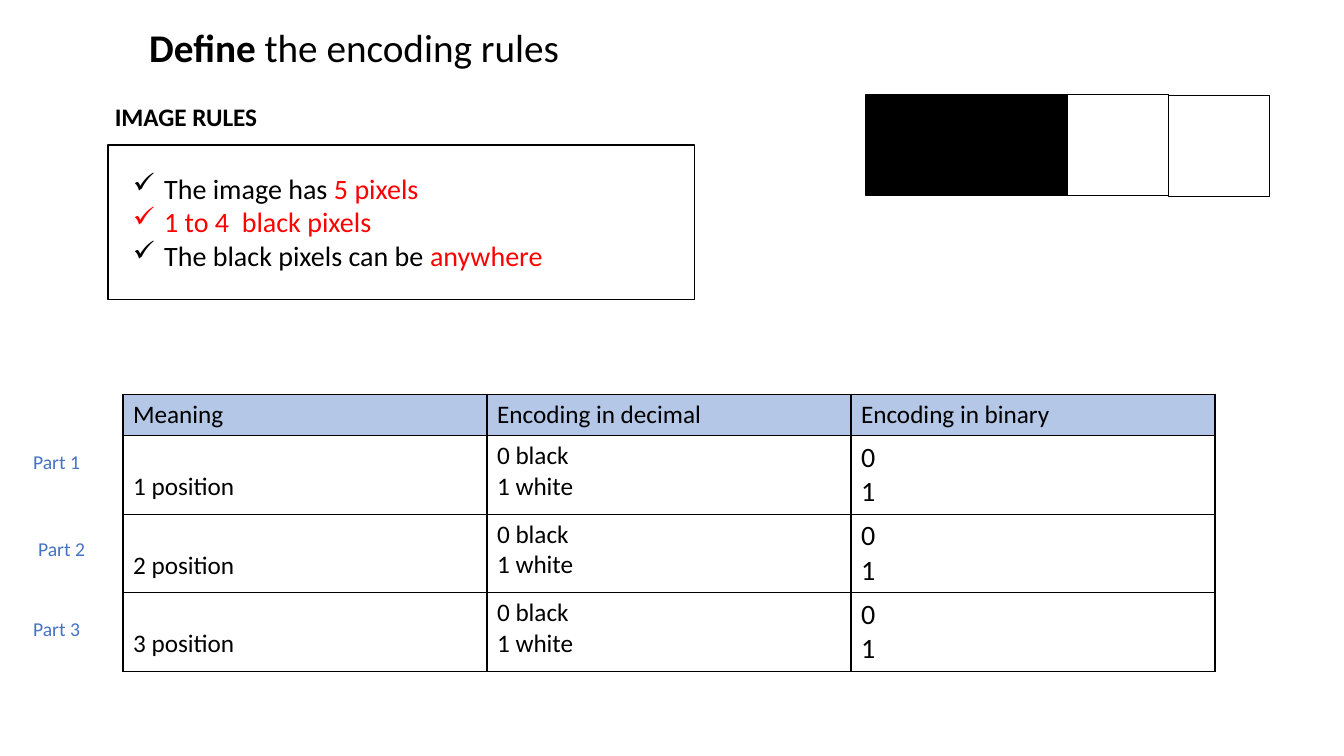
from lxml.etree import SubElement
from pptx import Presentation
from pptx.dml.color import RGBColor
from pptx.enum.shapes import MSO_SHAPE
from pptx.enum.text import MSO_ANCHOR, MSO_AUTO_SIZE, PP_ALIGN
from pptx.oxml.ns import qn
from pptx.util import Inches, Pt

BLACK, WHITE, RED, BLUE, HEADER_BLUE = "000000", "FFFFFF", "FF0000", "4472C4", "B4C7E7"
FONT = "Calibri"

# Each run is (text, colour, bold)
TITLE = [("Define", BLACK, True), (" the encoding rules", BLACK, False)]
RULES_HEADING = [("IMAGE RULES", BLACK, True)]
RULES = [
    [("The image has ", BLACK, False), ("5 pixels", RED, False)],
    [("1 to 4  black pixels", RED, False)],
    [("The black pixels can be ", BLACK, False), ("anywhere", RED, False)],
]
PIXELS = [(BLACK, 0.94), (BLACK, 0.94), (WHITE, 0.94), (WHITE, 0.95)]  # colour, top
HEADERS = ["Meaning", "Encoding in decimal", "Encoding in binary"]
POSITIONS = ["1 position", "2 position", "3 position"]
DECIMAL_CODES = ["0 black", "1 white"]
BINARY_CODES = ["0", "1"]
PARTS = [("Part 1", 0.23, 4.41), ("Part 2", 0.28, 5.28), ("Part 3", 0.23, 6.07)]


def rgb(color):
    return RGBColor.from_string(color)


def style(text_item, size, color, bold=False):
    font = text_item.font
    font.name, font.size, font.bold = FONT, Pt(size), bold
    font.color.rgb = rgb(color)


def write_runs(paragraph, runs, size):
    paragraph.alignment = PP_ALIGN.LEFT
    for text, color, bold in runs:
        run = paragraph.add_run()
        run.text = text
        style(run, size, color, bold)


def add_check_bullet(paragraph):
    properties = paragraph._p.get_or_add_pPr()
    properties.set("marL", str(Inches(0.31)))
    properties.set("indent", str(-Inches(0.31)))
    SubElement(properties, qn("a:buChar")).set("char", "✓")


def add_label(slide, box, lines, size, checked=False):
    frame = slide.shapes.add_textbox(*map(Inches, box)).text_frame
    frame.word_wrap = False
    frame.auto_size = MSO_AUTO_SIZE.SHAPE_TO_FIT_TEXT
    for index, runs in enumerate(lines):
        paragraph = frame.add_paragraph() if index else frame.paragraphs[0]
        if checked:
            add_check_bullet(paragraph)
        write_runs(paragraph, runs, size)


def add_box(slide, box, fill=None):
    shape = slide.shapes.add_shape(MSO_SHAPE.RECTANGLE, *map(Inches, box))
    shape.shadow.inherit = False
    if fill:
        shape.fill.solid()
        shape.fill.fore_color.rgb = rgb(fill)
    else:
        shape.fill.background()
    shape.line.color.rgb = rgb(BLACK)
    shape.line.width = Pt(1)


def add_borders(cell):
    properties = cell._tc.get_or_add_tcPr()
    for side in ("lnL", "lnR", "lnT", "lnB"):
        line = SubElement(properties, qn(f"a:{side}"), w=str(Pt(1)))
        SubElement(SubElement(line, qn("a:solidFill")), qn("a:srgbClr"), val=BLACK)


def fill_cell(cell, lines, size, fill=None):
    add_borders(cell)
    if fill:
        cell.fill.solid()
        cell.fill.fore_color.rgb = rgb(fill)
    else:
        cell.fill.background()
    cell.text_frame.text = "\n".join(lines)
    for paragraph in cell.text_frame.paragraphs:
        style(paragraph.runs[0], size, BLACK)


def add_encoding_table(slide):
    header_height, row_height = 0.41, 0.78
    height = header_height + row_height * len(POSITIONS)
    table = slide.shapes.add_table(
        len(POSITIONS) + 1, len(HEADERS),
        Inches(1.22), Inches(3.91), Inches(10.83), Inches(height)).table
    table.first_row = table.horz_banding = False
    for column in table.columns:
        column.width = Inches(3.61)
    for index, row in enumerate(table.rows):
        row.height = Inches(row_height if index else header_height)

    for column, header in enumerate(HEADERS):
        fill_cell(table.cell(0, column), [header], 18, HEADER_BLUE)
    for row, position in enumerate(POSITIONS, start=1):
        meaning = table.cell(row, 0)
        fill_cell(meaning, [position], 18)
        meaning.vertical_anchor = MSO_ANCHOR.BOTTOM
        meaning.margin_bottom = Inches(0.12)  # level with the second code line
        fill_cell(table.cell(row, 1), DECIMAL_CODES, 18)
        fill_cell(table.cell(row, 2), BINARY_CODES, 20)


def add_title(slide):
    title = slide.shapes.title
    title.left, title.top, title.width, title.height = map(Inches, (1.38, 0.18, 4.5, 0.57))
    frame = title.text_frame
    frame.word_wrap = True
    frame.auto_size = MSO_AUTO_SIZE.NONE
    frame.vertical_anchor = MSO_ANCHOR.TOP
    write_runs(frame.paragraphs[0], TITLE, 28)


def main():
    deck = Presentation()
    deck.slide_width, deck.slide_height = Inches(13.33), Inches(7.5)
    slide = deck.slides.add_slide(deck.slide_layouts[5])

    add_title(slide)
    add_encoding_table(slide)
    for part, left, top in PARTS:
        add_label(slide, (left, top, 0.67, 0.34), [[(part, BLUE, False)]], 14)
    add_label(slide, (1.04, 0.96, 1.63, 0.4), [RULES_HEADING], 18)
    add_box(slide, (1.07, 1.44, 5.82, 1.53))
    add_label(slide, (1.22, 1.65, 4.31, 1.11), RULES, 20, checked=True)
    for index, (color, top) in enumerate(PIXELS):
        add_box(slide, (8.59 + index, top, 1, 1), color)

    deck.save("out.pptx")


if __name__ == "__main__":
    main()
